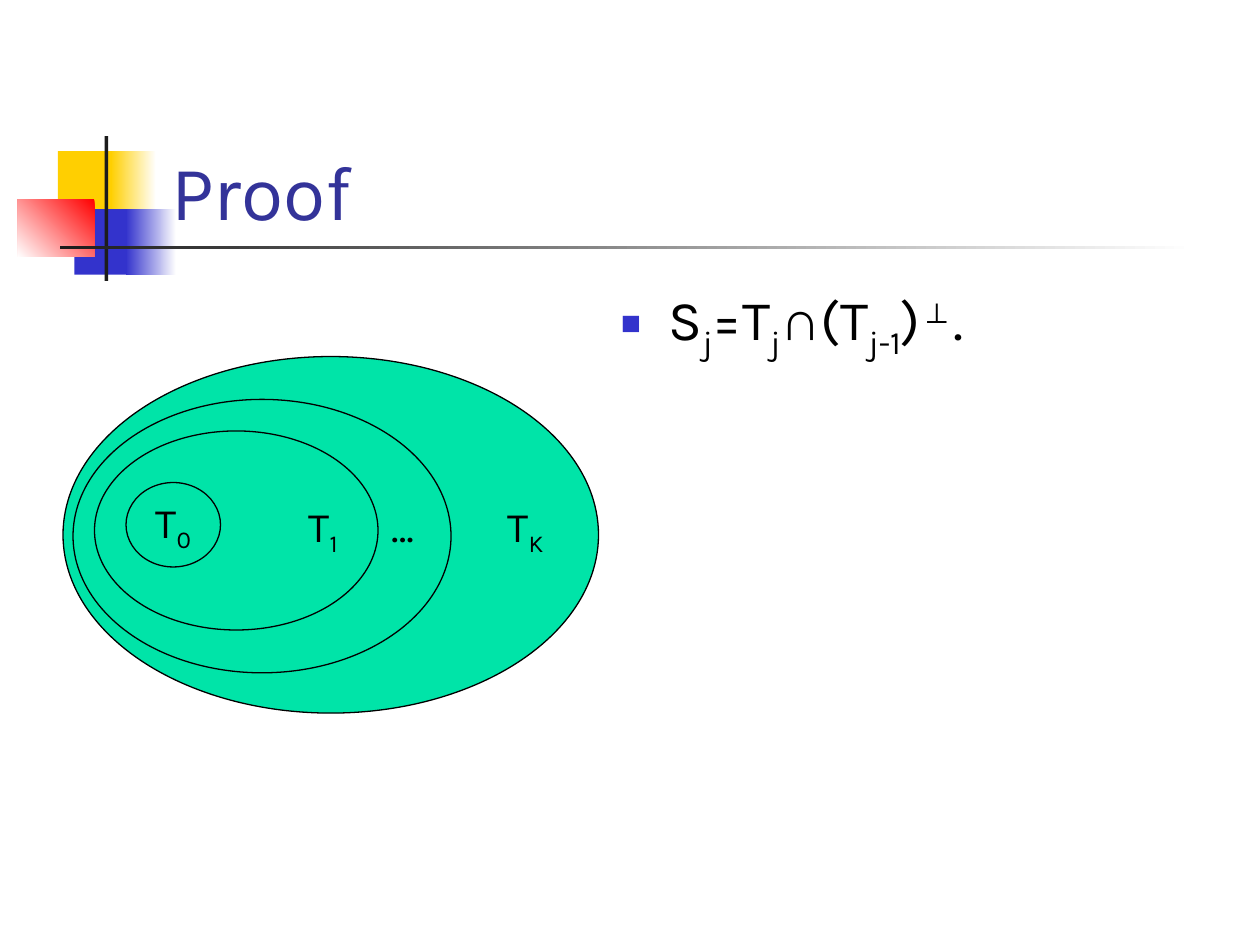
from typing import NamedTuple, Optional

from lxml.etree import SubElement as Sub
from pptx import Presentation
from pptx.dml.color import RGBColor as RGB
from pptx.enum.shapes import MSO_SHAPE as Shape
from pptx.enum.text import MSO_ANCHOR as Anchor
from pptx.enum.text import MSO_AUTO_SIZE as Fit
from pptx.enum.text import PP_ALIGN as Align
from pptx.oxml.ns import qn
from pptx.util import Inches, Pt

HUES = {
    "gold": "FFCF01", "blue": "3333CC", "red": "FF0000", "dark": "1C1C1C",
    "white": "FFFFFF", "title": "333399", "green": "00E4A8", "black": "000000",
}
FONT, MATH = "Karla", "Arial"
SUB, SUP = -25, 30


class Box(NamedTuple):
    x: float
    y: float
    w: float
    h: float

    def emu(self) -> list:
        return [Inches(v) for v in self]


class Bar(NamedTuple):
    """A block of the header motif; with an end hue it fades at an angle."""
    box: Box
    hue: str
    end: Optional[str] = None
    angle: int = 180


class Bit(NamedTuple):
    text: str
    base: int = 0
    font: str = FONT


class Oval(NamedTuple):
    box: Box
    fill: Optional[str] = None
    bits: tuple = ()


class Label(NamedTuple):
    box: Box
    bits: tuple


BARS = [
    Bar(Box(0.46, 1.2, 0.48, 0.52), "gold"),
    Bar(Box(0.88, 1.2, 0.36, 0.52), "white", "gold"),
    Bar(Box(0.59, 1.66, 0.46, 0.52), "blue"),
    Bar(Box(1, 1.66, 0.4, 0.52), "white", "blue"),
    Bar(Box(0.14, 1.58, 0.61, 0.46), "red", "white", 225),
    Bar(Box(0.83, 1.08, 0.03, 1.15), "dark"),
    Bar(Box(0.48, 1.95, 9, 0.03), "white", "dark"),
]
OVALS = [
    Oval(Box(0.5, 2.83, 4.25, 2.83), "green"),
    Oval(Box(0.58, 3.17, 3, 2.17)),
    Oval(Box(0.75, 3.42, 2.25, 1.58)),
    Oval(Box(1, 3.83, 0.75, 0.67), "green", (Bit("T"), Bit("0", SUB))),
]
LABELS = [
    Label(Box(2.35, 3.92, 0.49, 0.56), (Bit("T"), Bit("1", SUB))),
    Label(Box(3.01, 3.92, 0.46, 0.5), (Bit("…"),)),
    Label(Box(3.93, 3.92, 0.5, 0.56), (Bit("T"), Bit("K", SUB))),
]
RULE = (
    Bit("S"), Bit("j", SUB), Bit("=T"), Bit("j", SUB), Bit("∩", font=MATH),
    Bit("(T"), Bit("j-1", SUB), Bit(")"), Bit("⊥", SUP, MATH), Bit("."),
)


def color(name: str) -> RGB:
    return RGB.from_string(HUES[name])


def write(para, bits: tuple, size: int, hue: str = "black") -> None:
    for bit in bits:
        run = para.add_run()
        run.text = bit.text
        run.font.size, run.font.name = Pt(size), bit.font
        run.font.color.rgb = color(hue)
        if bit.base:
            run._r.get_or_add_rPr().set("baseline", str(bit.base * 1000))


def add_bar(slide, bar: Bar) -> None:
    shape = slide.shapes.add_shape(Shape.RECTANGLE, *bar.box.emu())
    shape.shadow.inherit = False
    shape.line.fill.background()
    if bar.end is None:
        shape.fill.solid()
        shape.fill.fore_color.rgb = color(bar.hue)
        return
    shape.fill.gradient()
    shape.fill.gradient_angle = bar.angle
    for stop, hue in zip(shape.fill.gradient_stops, (bar.hue, bar.end)):
        stop.color.rgb = color(hue)


def add_oval(slide, oval: Oval) -> None:
    shape = slide.shapes.add_shape(Shape.OVAL, *oval.box.emu())
    shape.shadow.inherit = False
    shape.line.color.rgb, shape.line.width = color("black"), Pt(0.75)
    if oval.fill:
        shape.fill.solid()
        shape.fill.fore_color.rgb = color(oval.fill)
    else:
        shape.fill.background()
    if oval.bits:
        frame = shape.text_frame
        frame.word_wrap, frame.vertical_anchor = False, Anchor.MIDDLE
        para = frame.paragraphs[0]
        para.alignment = Align.CENTER
        write(para, oval.bits, 24)


def add_label(slide, label: Label) -> None:
    frame = slide.shapes.add_textbox(*label.box.emu()).text_frame
    frame.word_wrap, frame.auto_size = False, Fit.SHAPE_TO_FIT_TEXT
    write(frame.paragraphs[0], label.bits, 24)


def set_title(slide, text: str) -> None:
    title = slide.shapes.title
    title.left, title.top, title.width, title.height = Box(1.26, 0.67, 8.52, 1.25).emu()
    frame = title.text_frame
    frame.vertical_anchor, frame.auto_size = Anchor.BOTTOM, Fit.NONE
    para = frame.paragraphs[0]
    para.alignment = Align.LEFT
    write(para, (Bit(text),), 44, "title")
    slide.shapes.element.append(title.element)  # in front of the motif


def add_bullet(slide, box: Box, bits: tuple) -> None:
    frame = slide.shapes.add_textbox(*box.emu()).text_frame
    frame.word_wrap = True
    para = frame.paragraphs[0]
    para.space_before = Pt(8)
    props = para._p.get_or_add_pPr()
    props.set("marL", str(Inches(0.38)))
    props.set("indent", str(-Inches(0.38)))
    Sub(Sub(props, qn("a:buClr")), qn("a:srgbClr"), val=HUES["blue"])
    Sub(props, qn("a:buSzPct"), val="60000")
    Sub(props, qn("a:buFont"), typeface=MATH)
    Sub(props, qn("a:buChar"), char="■")
    write(para, bits, 32)


def main() -> None:
    deck = Presentation()
    deck.slide_width, deck.slide_height = Inches(10), Inches(7.5)
    slide = deck.slides.add_slide(deck.slide_layouts[5])
    for bar in BARS:
        add_bar(slide, bar)
    set_title(slide, "Proof")
    add_bullet(slide, Box(4.83, 2.21, 4.96, 4.5), RULE)
    for oval in OVALS:
        add_oval(slide, oval)
    for label in LABELS:
        add_label(slide, label)
    deck.save("out.pptx")


if __name__ == "__main__":
    main()
